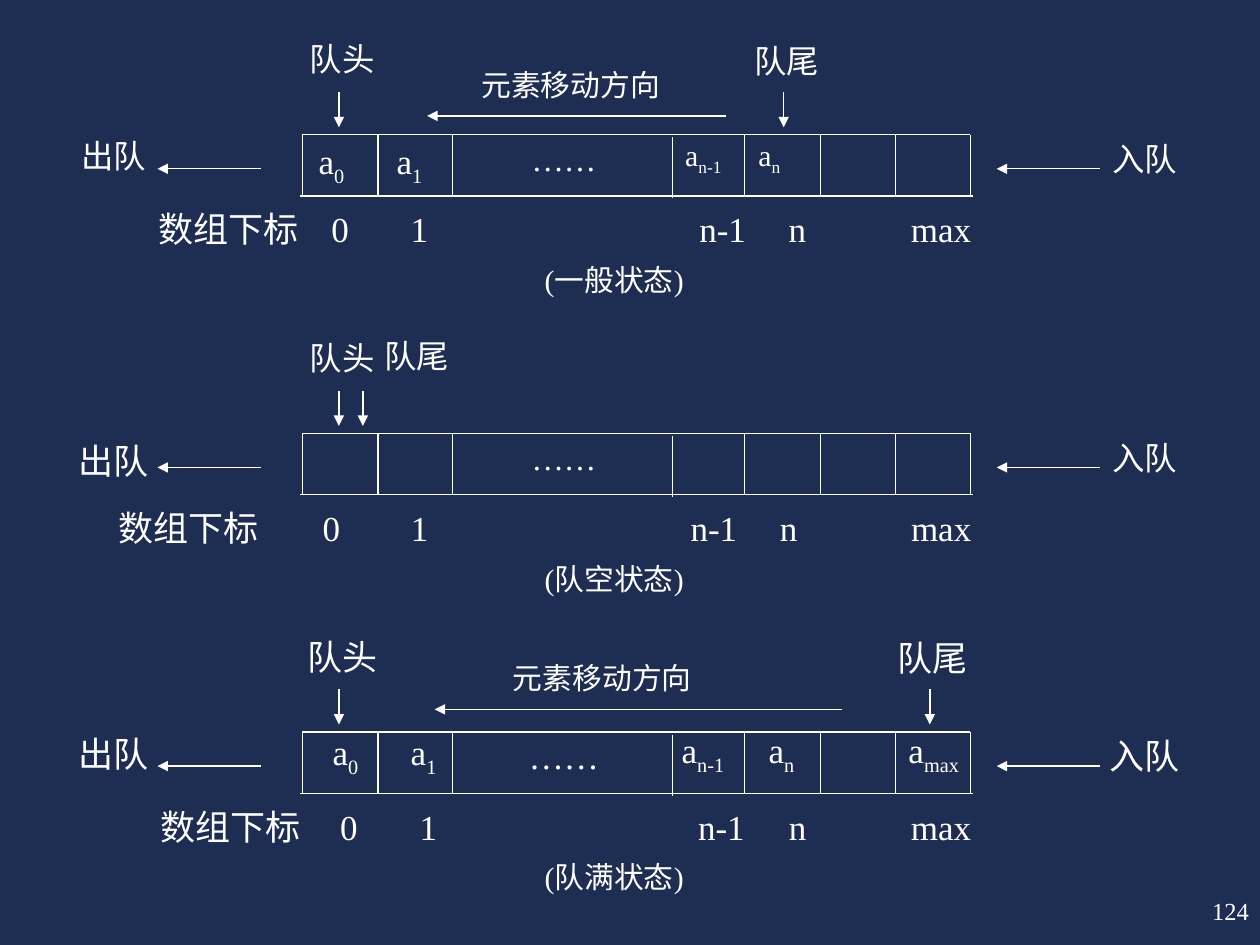
import pptx
import pptx.util
import pptx.dml.color
import pptx.enum.shapes
import pptx.enum.text
import lxml.etree

COLORS = {"background": "1E2E53", "ink": "FFFFFF"}
FONT = "Times New Roman"
ALIGN = pptx.enum.text.PP_ALIGN
INK = pptx.dml.color.RGBColor.from_string(COLORS["ink"])
A = "{http://schemas.openxmlformats.org/drawingml/2006/main}"


def add_line(shapes, x1, y1, x2, y2, arrow=False):
    """Draw a thin line, with an arrowhead at its end on request."""
    ends = [pptx.util.Inches(v) for v in (x1, y1, x2, y2)]
    c = shapes.add_connector(pptx.enum.shapes.MSO_CONNECTOR.STRAIGHT, *ends)
    c.line.color.rgb = INK
    c.line.width = pptx.util.Pt(0.75)
    if arrow:
        ln = c.line._get_or_add_ln()
        lxml.etree.SubElement(ln, A + "tailEnd", type="triangle")
    lxml.etree.SubElement(c._element.spPr, A + "effectLst")


def add_text(shapes, text, x, y, w, h, size=20, align=ALIGN.CENTER,
             inset=True, spacing=None, stops=()):
    """Add a one-line label; parts between bars are subscripts, stops are slide x positions."""
    sp = shapes.add_textbox(*[pptx.util.Inches(v) for v in (x, y, w, h)])
    tf = sp.text_frame
    tf.word_wrap = True
    pad_x, pad_y = (0.1, 0.05) if inset else (0, 0)
    tf.margin_left = tf.margin_right = pptx.util.Inches(pad_x)
    tf.margin_top = tf.margin_bottom = pptx.util.Inches(pad_y)
    p = tf.paragraphs[0]
    p.alignment = align
    if spacing:
        p.line_spacing = spacing
    if stops:
        tabs = lxml.etree.SubElement(p._p.get_or_add_pPr(), A + "tabLst")
        for stop in stops:
            pos = pptx.util.Inches(stop - x - pad_x)
            lxml.etree.SubElement(tabs, A + "tab", pos=str(pos), algn="l")
    for i, part in enumerate(text.split("|")):
        if not part:
            continue
        r = p.add_run()
        r.text = part
        r.font.size = pptx.util.Pt(size)
        r.font.name = FONT
        r.font.color.rgb = INK
        if i % 2:
            r._r.get_or_add_rPr().set("baseline", "-25000")


prs = pptx.Presentation()
prs.slide_width = pptx.util.Inches(10)
prs.slide_height = pptx.util.Inches(7.5)
s = prs.slides.add_slide(prs.slide_layouts[6])
s.background.fill.solid()
s.background.fill.fore_color.rgb = pptx.dml.color.RGBColor.from_string(COLORS["background"])

# Grid of the array: its walls, its height and the distance between states
LEFT, RIGHT = 2.4, 7.7
WALLS = [LEFT, 3, 3.59, 5.34, 5.91, 6.51, 7.11, RIGHT]
TOP, PITCH, CELL_H = 1.07, 2.37, 0.485
LABEL_W, LABEL_H = 1.15, 0.43
HEAD_X = 2.69

# Label formats
small = dict(size=18.5, spacing=0.9)
large = dict(size=20, inset=False)
note = dict(size=17, spacing=0.9, inset=False)
just = dict(align=ALIGN.JUSTIFY)

# tail: arrow x, label x, label rise; elements: text, x, rise, width, height, format
STATES = [
    dict(caption="(一般状态)", label=small, out=small, tail=(6.22, 5.67, 0.76),
         index_x=1.26, index_stops=[2.63, 3.26, 5.55, 6.26, 7.23],
         elements=[("a|0|\ta|1", 2.43, 0.01, 1.74, 0.5, dict(stops=[3.15])),
                   ("a|n-1|\ta|n", 5.34, 0.03, 2.34, 0.44,
                    dict(size=17, spacing=0.9, stops=[6.02]))]),
    dict(caption="(队空状态)", label=small, out=dict(size=20), tail=(2.88, 2.73, 0.79),
         index_x=0.94, index_stops=[2.56, 3.26, 5.48, 6.19, 7.23], elements=[]),
    dict(caption="(队满状态)", label=large, out=large, tail=(7.38, 6.83, 0.76),
         index_x=1.27, index_stops=[2.7, 3.33, 5.54, 6.26, 7.23],
         elements=[("\ta|0|\ta|1", 2.44, 0.01, 1.74, 0.5,
                    dict(inset=False, stops=[2.64, 3.26])),
                   ("\ta|n-1|\ta|n|\ta|max", 5.34, 0.03, 3.07, 0.47,
                    dict(inset=False, stops=[5.41, 6.1, 7.21]))]),
]

for i, state in enumerate(STATES):
    g = s.shapes.add_group_shape().shapes
    top = TOP + i * PITCH
    label = state["label"]

    # Array cells
    add_line(g, LEFT, top, RIGHT, top)
    add_line(g, LEFT - 0.02, top + CELL_H, RIGHT + 0.02, top + CELL_H)
    for x in WALLS:
        drop = 0.02 if x == 5.34 else 0
        add_line(g, x, top + drop, x, top + CELL_H + drop)

    # Elements in the cells
    for text, x, rise, w, h, form in state["elements"]:
        add_text(g, text, x, top - rise, w, h, **just, **form)
    add_text(g, "……", 3.9, top + 0.02, LABEL_W, LABEL_H, **label)

    # Head and tail pointers
    tail_x, tail_label_x, tail_rise = state["tail"]
    for x in (HEAD_X, tail_x):
        add_line(g, x, top - 0.34, x, top - 0.06, arrow=True)
    add_text(g, "队头", 2.14, top - 0.77, LABEL_W, LABEL_H, **label)
    add_text(g, "队尾", tail_label_x, top - tail_rise, LABEL_W, LABEL_H, **label)

    # Leaving and entering the queue
    for x in (2.07, 8.73):
        add_line(g, x, top + 0.27, x - 0.82, top + 0.27, arrow=True)
    add_text(g, "入队", 8.51, top + 0.02, LABEL_W, LABEL_H, **label)
    add_text(g, "出队", 0.33, top, LABEL_W, LABEL_H, **state["out"])

    # Array indexes and caption
    add_text(g, "数组下标\t0\t1\tn-1\tn\tmax", state["index_x"], top + 0.58, 7.65, 0.44,
             stops=state["index_stops"], **just, **large)
    add_text(g, state["caption"], 4.21, top + 1.04, 1.33, 0.36, **note)

# Direction in which the elements move
for x1, x2, y, text_x in [(5.76, 3.39, 0.92, 3.82), (6.68, 3.45, 5.63, 4.07)]:
    add_line(s.shapes, x1, y, x2, y, arrow=True)
    add_text(s.shapes, "元素移动方向", text_x, y - 0.36, 1.88, 0.29, **just, **note)

# Page number
add_text(s.shapes, "124", 9.46, 7.06, 0.55, 0.34, size=14, align=ALIGN.RIGHT)

prs.save("out.pptx")
